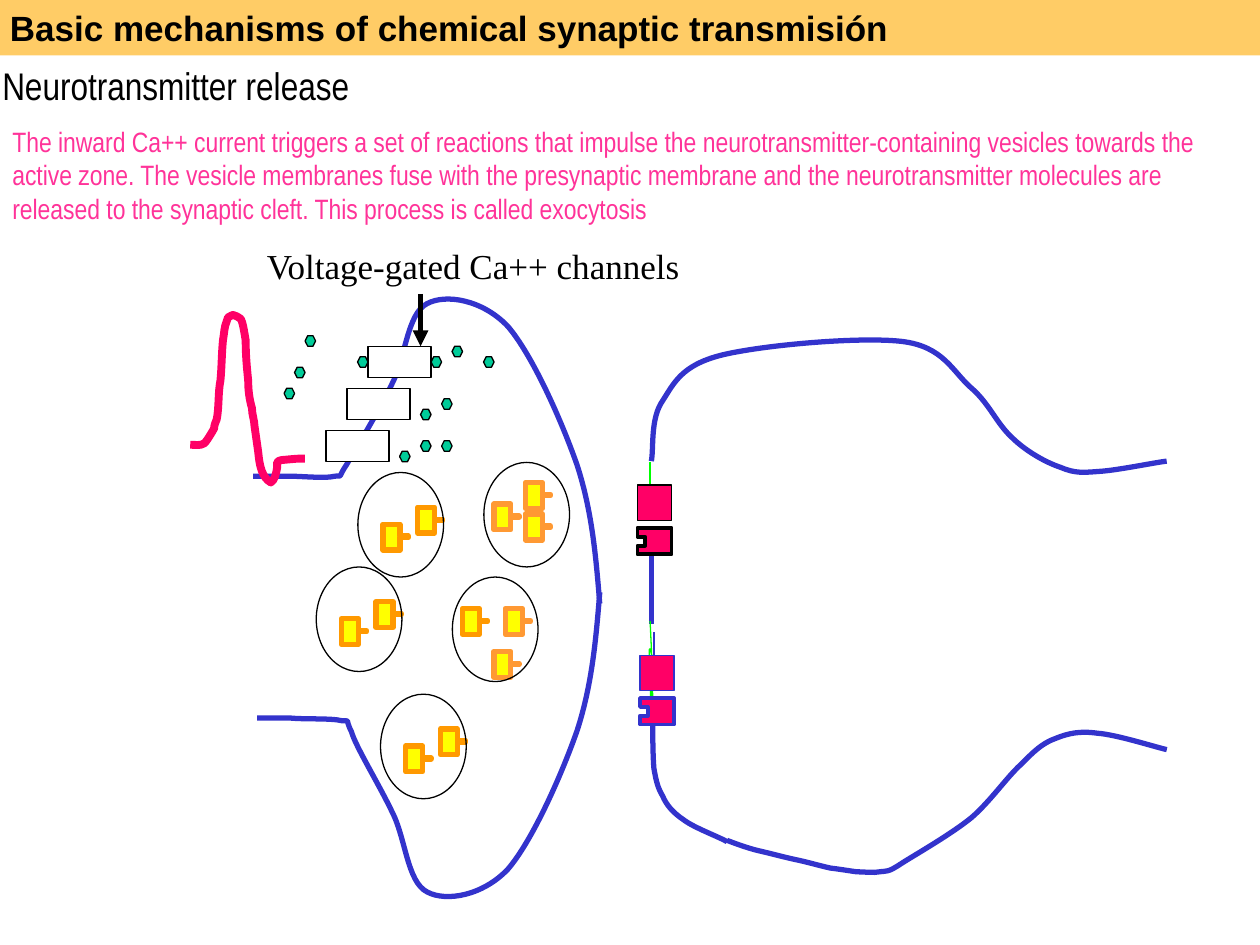
from lxml import etree
from pptx import Presentation
from pptx.dml.color import RGBColor
from pptx.enum.shapes import MSO_CONNECTOR, MSO_SHAPE
from pptx.enum.text import MSO_ANCHOR, PP_ALIGN
from pptx.oxml.ns import qn
from pptx.util import Inches, Pt

RECTANGLE, ELLIPSE, HEXAGON = MSO_SHAPE.RECTANGLE, MSO_SHAPE.OVAL, MSO_SHAPE.HEXAGON
STRAIGHT = MSO_CONNECTOR.STRAIGHT
TOP, MIDDLE, LEFT = MSO_ANCHOR.TOP, MSO_ANCHOR.MIDDLE, PP_ALIGN.LEFT

COLUMNS, ROWS = 1000, 750
UNIT = Inches(10) // COLUMNS
CELL = 100 / 12

COLORS = {
    "black": "000000", "white": "FFFFFF", "banner": "FFCC66", "pink": "FF3399",
    "membrane": "3333CC", "signal": "FF0066", "calcium": "00CC99", "green": "00FF00",
    "molecule": "FFFF00", "dark_orange": "FF9900", "light_orange": "FF9933",
}

UPPER_FOOT = [(1, 148), (5, 148), (18, 148), (29, 148), (40, 148), (58, 150), (66, 148),
              (73, 147), (67, 151), (75, 139)]
LOWER_FOOT = [(4, 149), (8, 149), (20, 149), (31, 149), (42, 148), (63, 149), (71, 147),
              (79, 146), (73, 150), (79, 138)]
TERMINAL_SIDE = [(82, 127), (101, 96), (111, 75), (122, 54), (123, 19), (139, 11),
                 (154, 3), (183, 8), (203, 29), (222, 51), (245, 102), (258, 139),
                 (270, 176), (273, 212), (276, 249)]
UPPER_DENDRITE = [(420, 99), (411, 100), (382, 106), (368, 107), (354, 108), (348, 109),
                  (336, 104), (324, 100), (308, 91), (297, 80), (285, 69), (279, 53),
                  (265, 41), (250, 28), (243, 8), (210, 4), (176, 0), (98, 7), (66, 15),
                  (35, 23), (29, 37), (20, 51), (10, 65), (13, 89), (11, 99)]
LOWER_DENDRITE = [(420, 328), (411, 326), (380, 316), (365, 315), (351, 313), (342, 315),
                  (332, 319), (321, 323), (315, 329), (304, 340), (293, 350), (280, 369),
                  (265, 382), (249, 395), (221, 411), (210, 418), (198, 426), (198, 424),
                  (192, 425), (187, 426), (181, 425), (174, 425), (167, 424), (161, 423),
                  (153, 422), (144, 420), (134, 417), (124, 415), (115, 413), (104, 410),
                  (95, 408), (87, 406), (76, 402), (71, 400)]
DENDRITE_CORNER = [(12, 301), (12, 308), (12, 332), (13, 343), (15, 354), (16, 358), (20, 365),
                   (23, 372), (28, 378), (37, 384), (45, 390), (64, 397), (71, 401)]
GREEN_THREAD = [(10, 226), (11, 246), (12, 267), (12, 287), (12, 292), (12, 298), (10, 303),
                (9, 305), (9, 298), (9, 295), (9, 293), (10, 298), (10, 300), (12, 287),
                (6, 225), (12, 257), (9, 274), (12, 290), (12, 307)]
ACTION_POTENTIAL = [(0, 103), (4, 103), (8, 104), (11, 102), (12, 102), (18, 92), (19, 90),
                    (19, 88), (20, 85), (21, 83), (23, 73), (22, 62), (24, 52), (25, 42),
                    (25, 30), (26, 20), (27, 15), (27, 9), (29, 5), (29, 4), (30, 3),
                    (30, 2), (31, 1), (34, 0), (34, 0), (36, 1), (38, 1), (40, 3), (42, 6),
                    (43, 15), (44, 20), (44, 32), (45, 42), (46, 52), (46, 60), (47, 67),
                    (49, 74), (49, 79), (51, 84), (51, 88), (52, 95), (53, 102), (54, 109),
                    (55, 120), (57, 129), (64, 133), (67, 131), (68, 127), (69, 121),
                    (69, 119), (69, 118), (69, 117), (70, 115), (75, 115), (75, 115),
                    (85, 114), (86, 114), (91, 114)]
MOLECULE = [(0, 0), (13.5, 0), (13.5, 9.5), (20, 9.5), (20, 10.5), (13.5, 10.5),
            (13.5, 20.5), (0, 20.5)]
RECEPTOR_NOTCH = [(0, 0), (27, 0), (27, 21), (0, 21), (0, 14), (6, 14), (6, 7), (0, 7)]
CALCIUM_CELLS = [(16, 1), (19, 2), (13, 7), (15, 6), (14, 2), (15, 10), (13, 10), (11, 11),
                 (7, 2), (2, 0), (1, 3), (0, 5)]

DARK, LIGHT = "dark_orange", "light_orange"
PAIR = [(20, 41, DARK), (47.5, 27.5, DARK)]
VESICLES = [
    ((251, 450, 68, 83), PAIR),
    ((284, 375, 68, 83), PAIR),
    ((302, 551, 68, 83), PAIR),
    ((384, 367, 68, 83), [(8, 33, LIGHT), (33, 41, LIGHT), (33, 16, LIGHT)]),
    ((359, 458, 68, 83), [(42, 25, LIGHT), (33, 59, LIGHT), (8, 25, DARK)]),
]
TEXTS = [
    ((0, 76, 980, 125), MIDDLE, "The inward Ca++ current triggers a set of reactions that impulse "
     "the neurotransmitter-containing vesicles towards the active zone. The vesicle membranes "
     "fuse with the presynaptic membrane and the neurotransmitter molecules are released to the "
     "synaptic cleft. This process is called exocytosis",
     {"name": "Arial Narrow", "size": Pt(16)}, "pink"),
    ((202, 189, 467, 44), TOP, "Voltage-gated Ca++ channels",
     {"name": "Times New Roman", "size": Pt(20)}, "black"),
    ((-8, 44, 756, 47), TOP, "Neurotransmitter release",
     {"name": "Arial Narrow", "size": Pt(22)}, "black"),
]


def color(name):
    """Return the named colour."""
    return RGBColor.from_string(COLORS[name])


def emu(*lengths):
    """Turn grid lengths into slide lengths."""
    return [round(length * UNIT) for length in lengths]


def paint(shape, fill, line, width):
    """Set the fill and outline of a shape, None leaving either out."""
    shape.shadow.inherit = False
    for part, name in ((shape.fill, fill), (shape.line.fill, line)):
        if name is None:
            part.background()
        else:
            part.solid()
            part.fore_color.rgb = color(name)
    shape.line.width = Pt(width)


def add_preset(slide, kind, box, fill=None, line="black"):
    """Add a thinly outlined preset shape."""
    shape = slide.shapes.add_shape(kind, *emu(*box))
    paint(shape, fill, line, 0.75)
    return shape


def add_outline(slide, origin, points, fill, line, width, closed=False):
    """Add an outline through points measured from the origin."""
    vertices = [emu(*point) for point in points]
    builder = slide.shapes.build_freeform(*vertices[0])
    builder.add_line_segments(vertices[1:], close=closed)
    shape = builder.convert_to_shape(*emu(*origin))
    paint(shape, fill, line, width)
    return shape


def add_curve(slide, origin, controls, line, width):
    """Add an open chain of cubic curves, three control points to each."""
    shape = add_outline(slide, origin, controls, None, line, width)
    segments = list(shape._element.iter(qn("a:lnTo")))
    contour = segments[0].getparent()
    for index, segment in enumerate(segments):
        if index % 3 == 0:
            cubic = etree.SubElement(contour, qn("a:cubicBezTo"))
        cubic.append(segment[0])
        contour.remove(segment)


def add_line(slide, x, top, bottom, line, width, arrow=False):
    """Add an upright line, with an arrowhead below if asked."""
    connector = slide.shapes.add_connector(STRAIGHT, *emu(x, top, x, bottom))
    connector.line.color.rgb = color(line)
    connector.line.width = Pt(width)
    if arrow:
        etree.SubElement(connector.line._get_or_add_ln(), qn("a:tailEnd"), type="triangle")
    etree.SubElement(connector._element.spPr, qn("a:effectLst"))


def write(shape, anchor, text, font, name):
    """Write one left-aligned paragraph into a shape."""
    frame = shape.text_frame
    frame.word_wrap = True
    frame.vertical_anchor = anchor
    paragraph = frame.paragraphs[0]
    paragraph.alignment = LEFT
    run = paragraph.add_run()
    run.text = text
    for attribute, value in font.items():
        setattr(run.font, attribute, value)
    run.font.color.rgb = color(name)


def add_terminal(slide, box):
    """Draw the presynaptic membrane as two mirrored halves."""
    left, top, _, height = box
    add_curve(slide, (left, top), UPPER_FOOT + TERMINAL_SIDE, "membrane", 3)
    lower = [(x, height - y) for x, y in LOWER_FOOT + TERMINAL_SIDE]
    add_curve(slide, (left, top), lower, "membrane", 3)


def add_dendrite(slide, box):
    """Draw the postsynaptic membrane and its two receptors."""
    left, top = box[:2]
    for controls in (UPPER_DENDRITE, LOWER_DENDRITE, DENDRITE_CORNER):
        add_curve(slide, (left, top), controls, "membrane", 3)
    for x, start, end, line, width in ((11, 173, 228, "membrane", 3), (10, 100, 119, "green", 0.75),
                                       (13, 235, 253, "membrane", 0.75)):
        add_line(slide, left + x, top + start, top + end, line, width)
    add_curve(slide, (left, top), GREEN_THREAD, "green", 0.75)
    for x, y, line in ((0, 118, "black"), (2, 253, "membrane")):
        add_preset(slide, RECTANGLE, (left + x, top + y, 27, 28), "signal", line)
        add_outline(slide, (left + x, top + y + 34), RECEPTOR_NOTCH, "signal", line, 2.25, True)


def add_vesicle(slide, box, molecules):
    """Draw a vesicle around its neurotransmitter molecules."""
    for x, y, line in molecules:
        add_outline(slide, (box[0] + x, box[1] + y), MOLECULE, "molecule", line, 3, True)
    add_preset(slide, ELLIPSE, box)


def add_channels(slide, box):
    """Draw the calcium channels, their arrow and the ions on a square grid."""
    left, top = box[:2]
    for index in range(3):
        add_preset(slide, RECTANGLE, (left + (8 - 2 * index) * CELL, top + (1 + 4 * index) * CELL,
                                      6 * CELL, 3 * CELL), "white")
    add_line(slide, left + 13 * CELL, top - 4 * CELL, top + CELL, "black", 3, True)
    for column, row in CALCIUM_CELLS:
        add_preset(slide, HEXAGON, (left + column * CELL, top + row * CELL, CELL, CELL), "calcium")


def add_headings(slide, box):
    """Place the texts and the title banner."""
    for text_box, anchor, text, font, name in TEXTS:
        write(slide.shapes.add_textbox(*emu(*text_box)), anchor, text, font, name)
    banner = add_preset(slide, RECTANGLE, box, "banner", None)
    write(banner, TOP, "Basic mechanisms of chemical synaptic transmisión",
          {"name": "Arial", "size": Pt(20), "bold": True}, "black")


def main():
    """Build and save the slide."""
    presentation = Presentation()
    presentation.slide_width, presentation.slide_height = emu(COLUMNS, ROWS)
    slide = presentation.slides.add_slide(presentation.slide_layouts[6])
    add_terminal(slide, (200, 230, 276, 489))
    add_dendrite(slide, (506, 267, 420, 427))
    for box, molecules in VESICLES:
        add_vesicle(slide, box, molecules)
    add_curve(slide, (151, 250), ACTION_POTENTIAL, "signal", 4.5)
    add_channels(slide, (225.5, 266.5, 167, 100))
    add_headings(slide, (-2, 0, 1002, 44))
    presentation.save("out.pptx")


if __name__ == "__main__":
    main()
